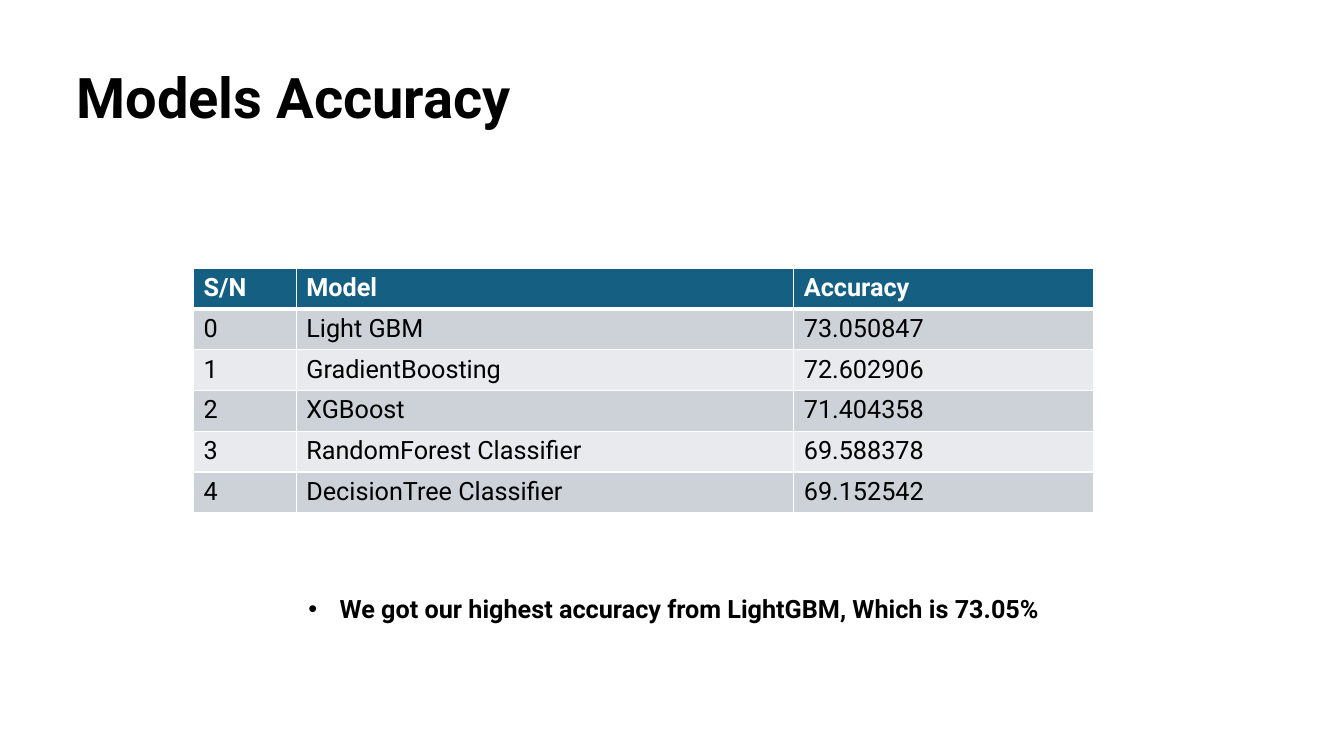
from lxml import etree
from pptx import Presentation
from pptx.dml.color import RGBColor
from pptx.enum.text import MSO_AUTO_SIZE
from pptx.oxml.ns import qn
from pptx.util import Inches, Pt

FIT = MSO_AUTO_SIZE.SHAPE_TO_FIT_TEXT
FONT = "Roboto"
COLORS = {"ink": "000000", "white": "FFFFFF", "head": "156082",
          "odd": "CCD2D8", "even": "E8EAED"}
TITLE = {"name": FONT, "size": Pt(40), "bold": True}
STRONG = {"name": FONT, "size": Pt(18), "bold": True}
PLAIN = {"name": FONT, "size": Pt(18), "bold": False}
COLS = [1.02, 4.94, 2.98]
ROWS = [
    ("S/N", "Model", "Accuracy"),
    ("0", "Light GBM", "73.050847"),
    ("1", "GradientBoosting", "72.602906"),
    ("2", "XGBoost", "71.404358"),
    ("3", "RandomForest Classifier", "69.588378"),
    ("4", "DecisionTree Classifier", "69.152542"),
]


def rgb(key):
    return RGBColor.from_string(COLORS[key])


def style(para, look, color):
    for key, value in look.items():
        setattr(para.font, key, value)
    para.font.color.rgb = rgb(color)


def add_line(slide, box, text, look, bullet=False):
    frame = slide.shapes.add_textbox(*map(Inches, box)).text_frame
    frame.word_wrap = True
    frame.auto_size = FIT
    para = frame.paragraphs[0]
    para.text = text
    if bullet:
        props = para._p.get_or_add_pPr()
        props.set("marL", str(Inches(0.31)))
        props.set("indent", str(-Inches(0.31)))
        etree.SubElement(props, qn("a:buFont")).set("typeface", "Arial")
        etree.SubElement(props, qn("a:buChar")).set("char", "•")
    style(para, look, "ink")


def add_edges(cell, top, bottom):
    props = cell._tc.get_or_add_tcPr()
    for side, width in (("L", 1), ("R", 1), ("T", top), ("B", bottom)):
        line = etree.SubElement(props, qn("a:ln" + side), w=str(Pt(width)))
        fill = etree.SubElement(line, qn("a:solidFill"))
        etree.SubElement(fill, qn("a:srgbClr"), val=COLORS["white"])


def add_scores(slide, box):
    table = slide.shapes.add_table(len(ROWS), len(COLS), *map(Inches, box)).table
    for col, width in zip(table.columns, COLS):
        col.width = Inches(width * box[2] / sum(COLS))
    for r, row in enumerate(ROWS):
        table.rows[r].height = Inches(box[3] / len(ROWS))
        shade = "head" if r == 0 else "odd" if r % 2 else "even"
        for c, text in enumerate(row):
            cell = table.cell(r, c)
            # A thick rule parts the header from the body
            add_edges(cell, 3 if r == 1 else 1, 3 if r == 0 else 1)
            cell.fill.solid()
            cell.fill.fore_color.rgb = rgb(shade)
            cell.text = text
            style(cell.text_frame.paragraphs[0],
                  PLAIN if r else STRONG, "ink" if r else "white")


def main():
    deck = Presentation()
    deck.slide_width, deck.slide_height = Inches(13.33), Inches(7.5)
    slide = deck.slides.add_slide(deck.slide_layouts[6])
    # Title
    add_line(slide, (0.66, 0.57, 5.11, 0.77), "Models Accuracy", TITLE)
    # Score table
    add_scores(slide, (1.92, 2.66, 8.93, 2.43))
    # Finding
    add_line(slide, (2.96, 5.84, 8.02, 0.4),
             "We got our highest accuracy from LightGBM, Which is 73.05%",
             STRONG, bullet=True)
    deck.save("out.pptx")


if __name__ == "__main__":
    main()
